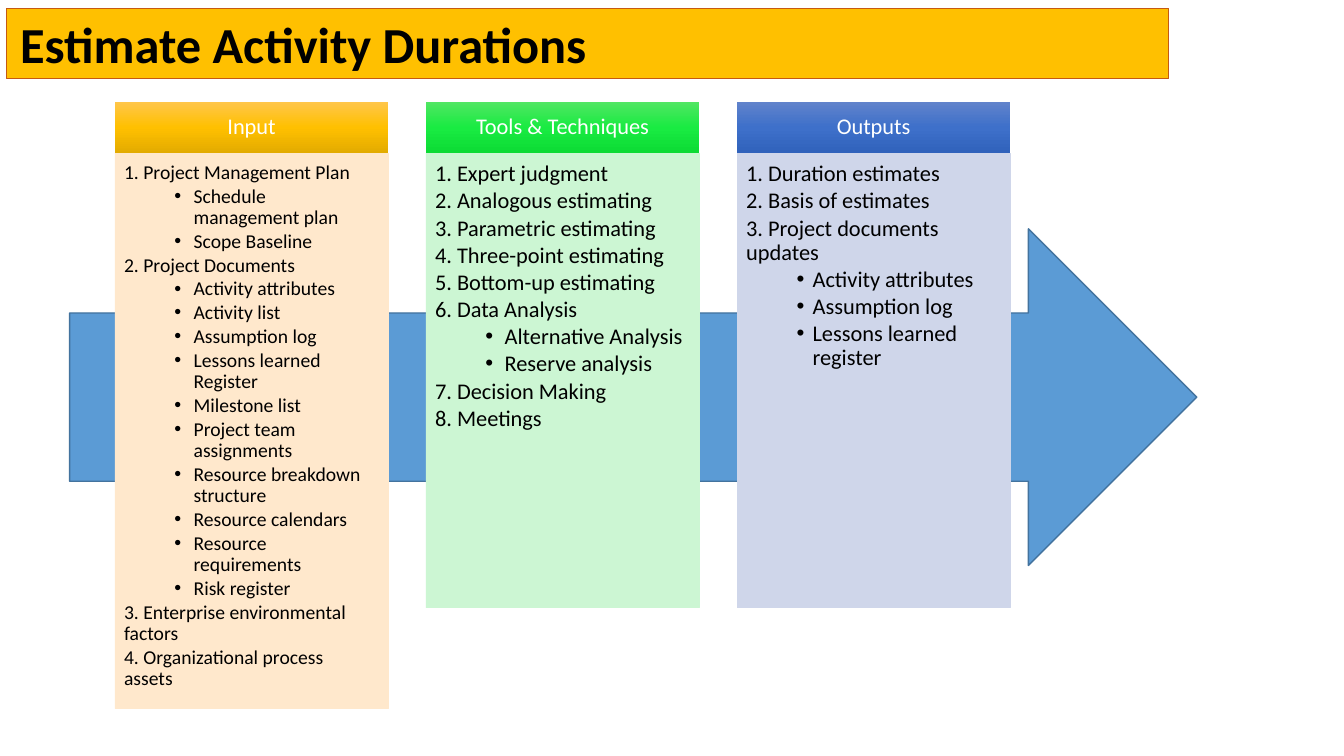
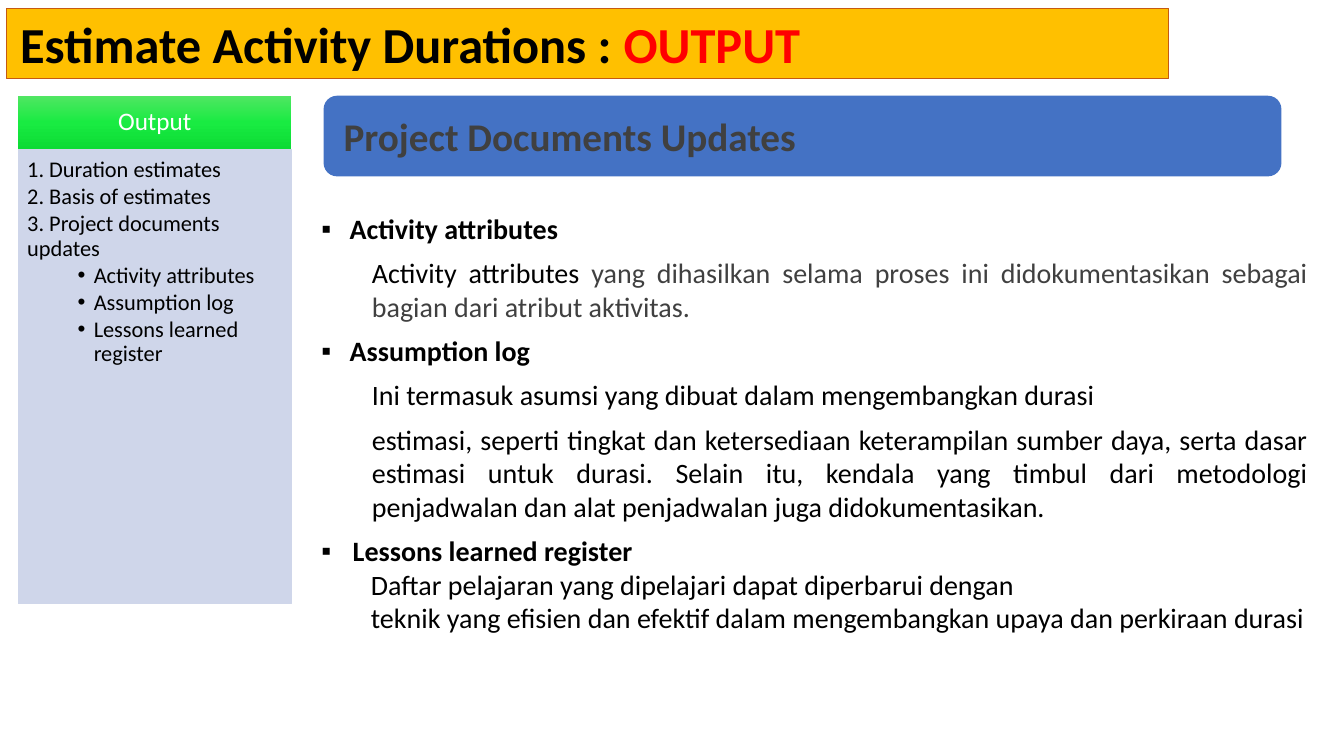
"""Build two slides on estimating activity durations."""
from lxml.etree import SubElement
from copy import deepcopy
from pptx import Presentation
from pptx.dml.color import RGBColor
from pptx.enum.shapes import MSO_SHAPE
from pptx.enum.text import MSO_ANCHOR, MSO_AUTO_SIZE, PP_ALIGN
from pptx.oxml.ns import qn
from pptx.util import Inches, Pt

FONT = "Calibri"
BLACK, WHITE, GREY, RED = "000000", "FFFFFF", "404040", "FF0000"
GOLD, RUST = "FFC000", "C55A11"
BLUE, SKY, STEEL = "4472C4", "5B9BD5", "43739E"
AMBER = ("FFC64B", "FFC000", "E3AB00")
GREEN = ("51E663", "19EB42", "0CDB34")
NAVY = ("6183CB", "3E70CA", "3062BB")
PEACH, MINT, LILAC = "FFE8CC", "CCF6D3", "CFD6EA"
WIDTH = 2.71

INPUTS = [
    "1. Project Management Plan",
    ("Schedule management plan", "Scope Baseline"),
    "2. Project Documents",
    ("Activity attributes", "Activity list", "Assumption log",
     "Lessons learned Register", "Milestone list",
     "Project team assignments", "Resource breakdown structure",
     "Resource calendars", "Resource requirements", "Risk register"),
    "3. Enterprise environmental factors",
    "4. Organizational process assets",
]
TOOLS = [
    "1. Expert judgment", "2. Analogous estimating",
    "3. Parametric estimating", "4. Three-point estimating",
    "5. Bottom-up estimating", "6. Data Analysis",
    ("Alternative Analysis", "Reserve analysis"),
    "7. Decision Making", "8. Meetings",
]
OUTPUTS = [
    "1. Duration estimates", "2. Basis of estimates",
    "3. Project documents updates",
    ("Activity attributes", "Assumption log", "Lessons learned register"),
]


def color(code):
    """Turn a hex string into a colour."""
    return RGBColor.from_string(code)


def paint(shape, fill, line=None, weight=1):
    """Give a shape a solid fill and an optional outline."""
    shape.fill.solid()
    shape.fill.fore_color.rgb = color(fill)
    if line:
        shape.line.color.rgb = color(line)
        shape.line.width = Pt(weight)
    else:
        shape.line.fill.background()


def shade(shape, codes):
    """Give a shape a three-stop gradient from top to bottom."""
    shape.fill.gradient()
    shape.fill.gradient_angle = 270
    shape.line.fill.background()
    stops = shape.fill.gradient_stops
    for stop, code in zip(stops, (codes[0], codes[2])):
        stop.color.rgb = color(code)
    first = next(shape._element.spPr.iter(qn("a:gs")))
    mid = deepcopy(first)
    mid.set("pos", "50000")
    mid[0].set("val", codes[1])
    first.addnext(mid)


def block(slide, kind, *box):
    """Add a preset shape without shadow."""
    shape = slide.shapes.add_shape(kind, *map(Inches, box))
    shape.shadow.inherit = False
    return shape


def frame(shape, insets, anchor=MSO_ANCHOR.TOP):
    """Set the insets, anchor and wrapping of a text frame."""
    text = shape.text_frame
    text.word_wrap = True
    text.auto_size = MSO_AUTO_SIZE.NONE
    text.vertical_anchor = anchor
    (text.margin_left, text.margin_top,
     text.margin_right, text.margin_bottom) = map(Inches, insets)
    return text


def write(text, runs, size, align=PP_ALIGN.LEFT, left=0, hang=0,
          mark=None, before=0, after=0, lines=1):
    """Add a paragraph of (words, colour, bold) runs."""
    para = text.paragraphs[0]
    fresh = not para.runs
    if not fresh:
        para = text.add_paragraph()
    props = para._p.get_or_add_pPr()
    props.set("marL", str(Inches(left)))
    props.set("indent", str(Inches(-hang)))
    if mark:
        SubElement(props, qn("a:buFont")).set("typeface", "Arial")
        SubElement(props, qn("a:buChar")).set("char", mark)
    else:
        SubElement(props, qn("a:buNone"))
    para.alignment = align
    para.line_spacing = lines
    para.space_before = Pt(0 if fresh else before)
    para.space_after = Pt(after)
    for words, code, bold in runs:
        for index, part in enumerate(words.split("\n")):
            if index:
                para.add_line_break()
            run = para.add_run()
            run.text = part
            run.font.name = FONT
            run.font.size = Pt(size)
            run.font.bold = bold
            run.font.color.rgb = color(code)


def start(deck, *runs):
    """Add a slide with its title band."""
    slide = deck.slides.add_slide(deck.slide_layouts[5])
    title = slide.shapes.title
    title.left, title.top, title.width, title.height = map(
        Inches, (0.06, 0.08, 11.53, 0.7))
    paint(title, GOLD, RUST, 0.75)
    text = frame(title, (0.14, 0.05, 0.09, 0.05), MSO_ANCHOR.MIDDLE)
    write(text, [(words, code, True) for words, code in runs], 36)
    return slide


def column(slide, left, top, name, items, tones, fill,
           tall=4.51, size=16, head=0.51, cap=16, inset=0.69, hang=0.19):
    """Add a headed column with a list of items and sub-items."""
    band = block(slide, MSO_SHAPE.RECTANGLE, left, top, WIDTH, head)
    shade(band, tones)
    text = frame(band, (0.12, 0.07, 0.12, 0.07), MSO_ANCHOR.MIDDLE)
    write(text, [(name, WHITE, False)], cap, PP_ALIGN.CENTER, lines=0.9)
    panel = block(slide, MSO_SHAPE.RECTANGLE, left, top + head, WIDTH, tall)
    paint(panel, fill, fill, 0.5)
    text = frame(panel, (0.09, 0.09, 0.12, 0.14))
    gap = {"after": size * 0.135, "lines": 0.9}
    for item in items:
        if isinstance(item, str):
            write(text, [(item, BLACK, False)], size, **gap)
            continue
        for sub in item:
            write(text, [(sub, BLACK, False)], size, left=inset,
                  hang=hang, mark="•", **gap)


def banner(slide, words):
    """Add the rounded heading bar."""
    bar = block(slide, MSO_SHAPE.ROUNDED_RECTANGLE, 3.21, 0.95, 9.5, 0.8)
    paint(bar, BLUE)
    text = frame(bar, (0.16, 0.12, 0.12, 0.12), MSO_ANCHOR.MIDDLE)
    write(text, [(words, GREY, True)], 28)


def notes(slide):
    """Add the topics with their explanations."""
    box = slide.shapes.add_textbox(*map(Inches, (3.08, 2.05, 9.99, 4.61)))
    text = frame(box, (0.1, 0.05, 0.1, 0.05))

    def topic(words, left=0.29):
        """Add a bold bulleted topic."""
        write(text, [(words, BLACK, True)], 20, PP_ALIGN.JUSTIFY, left,
              left - 0.01, "▪", 7.6)

    def detail(*runs):
        """Add a justified explanation."""
        write(text, [(words, code, False) for words, code in runs], 20,
              PP_ALIGN.JUSTIFY, 0.51, before=7.6)

    topic("Activity attributes")
    detail(("Activity attributes ", BLACK),
           ("yang dihasilkan selama proses ini didokumentasikan sebagai "
            "bagian dari atribut aktivitas.", GREY))
    topic("Assumption log")
    detail(("Ini termasuk asumsi yang dibuat dalam mengembangkan durasi",
            BLACK))
    detail(("estimasi, seperti tingkat dan ketersediaan keterampilan sumber "
            "daya, serta dasar estimasi untuk durasi. Selain itu, kendala "
            "yang timbul dari metodologi penjadwalan dan alat penjadwalan "
            "juga didokumentasikan.", BLACK))
    topic("Lessons learned register", 0.32)
    write(text, [("Daftar pelajaran yang dipelajari dapat diperbarui dengan\n"
                  "teknik yang efisien dan efektif dalam mengembangkan upaya "
                  "dan perkiraan durasi", BLACK, False)], 20, left=0.5)


def main():
    """Build and save the deck."""
    deck = Presentation()
    deck.slide_width, deck.slide_height = Inches(13.33), Inches(7.5)

    slide = start(deck, ("Estimate Activity Durations", BLACK))
    arrow = block(slide, MSO_SHAPE.RIGHT_ARROW, 0.69, 2.27, 11.18, 3.34)
    paint(arrow, SKY, STEEL)
    lefts = [1.14 + 3.085 * index for index in range(3)]
    column(slide, lefts[0], 1.01, "Input", INPUTS, AMBER, PEACH,
           tall=5.51, size=14)
    column(slide, lefts[1], 1.01, "Tools & Techniques", TOOLS, GREEN, MINT)
    column(slide, lefts[2], 1.01, "Outputs", OUTPUTS, NAVY, LILAC,
           inset=0.66, hang=0.16)

    slide = start(deck, ("Estimate Activity Durations : ", BLACK),
                  ("OUTPUT", RED))
    column(slide, 0.18, 0.95, "Output", OUTPUTS, GREEN, LILAC,
           head=0.53, cap=18, inset=0.66, hang=0.16)
    banner(slide, "Project Documents Updates")
    notes(slide)
    deck.save("out.pptx")


if __name__ == "__main__":
    main()
